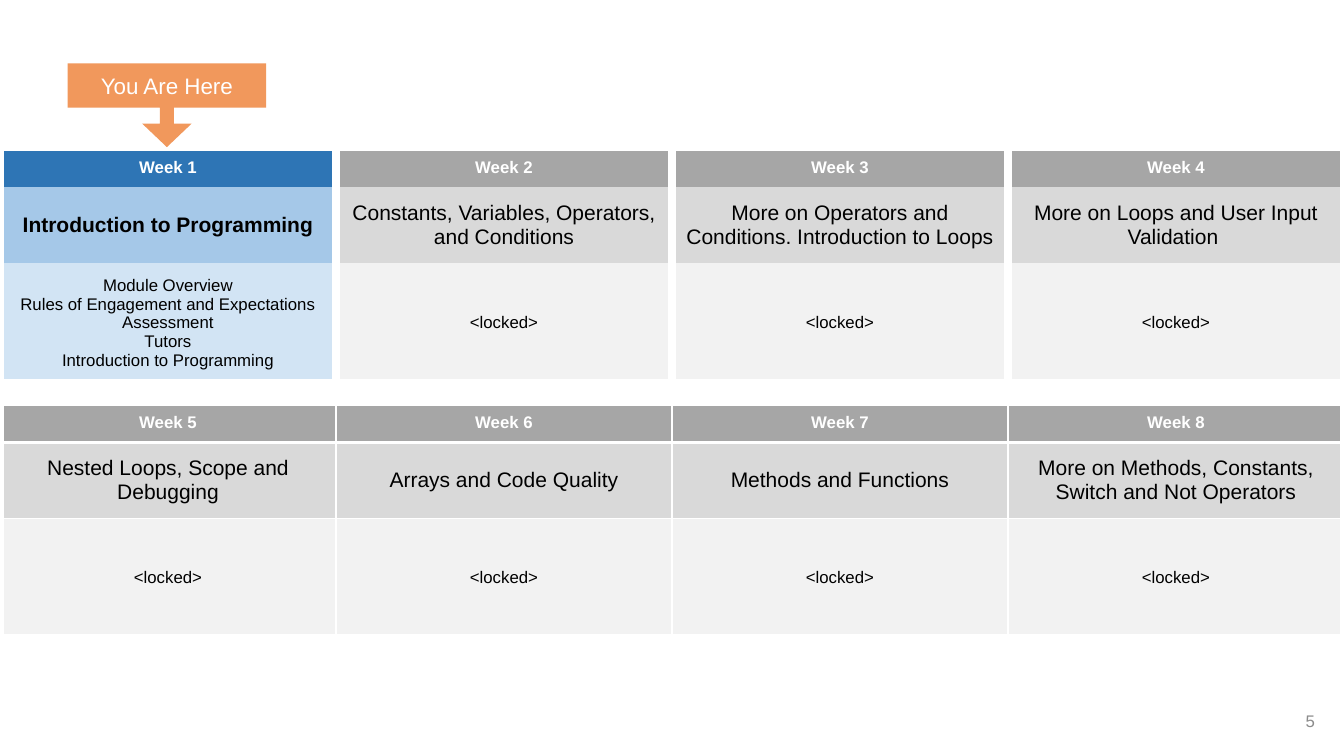
import lxml.etree
import pptx
import pptx.dml.color
import pptx.enum.shapes
import pptx.enum.text
import pptx.oxml.ns
import pptx.util

Inches = pptx.util.Inches
WHITE, BLACK = "FFFFFF", "000000"
LOCKED = ["<locked>"]
ACTIVE_FILLS = ["2E75B5", "A5C8E8", "D2E4F4"]
LOCKED_FILLS = ["A6A6A6", "D9D9D9", "F2F2F2"]
ROW_HEIGHTS = [0.4, 0.75, 1.19]
ROW_SIZES = [12, 15, 12]
ROW_COLORS = [WHITE, BLACK, BLACK]
FIRST_WEEKS = [
    ("Introduction to Programming", [
        "Module Overview",
        "Rules of Engagement and Expectations",
        "Assessment",
        "Tutors",
        "Introduction to Programming",
    ]),
    ("Constants, Variables, Operators, and Conditions", LOCKED),
    ("More on Operators and Conditions. Introduction to Loops", LOCKED),
    ("More on Loops and User Input Validation ", LOCKED),
]
LAST_WEEKS = [
    ("Nested Loops, Scope and Debugging", LOCKED),
    ("Arrays and Code Quality", LOCKED),
    ("Methods and Functions", LOCKED),
    ("More on Methods, Constants, Switch and Not Operators", LOCKED),
]


def rgb(color):
    """Turn a hex string into a colour."""
    return pptx.dml.color.RGBColor.from_string(color)


def write_lines(text_frame, lines, size, color, bold=False, alignment="CENTER"):
    """Write each line as a paragraph with one run."""
    for index, line in enumerate(lines):
        paragraph = text_frame.add_paragraph() if index else text_frame.paragraphs[0]
        paragraph.alignment = getattr(pptx.enum.text.PP_ALIGN, alignment)
        run = paragraph.add_run()
        run.text = line
        run.font.name = "Arial"
        run.font.size = pptx.util.Pt(size)
        run.font.bold = bold
        run.font.color.rgb = rgb(color)


def set_borders(cell, widths):
    """Draw white left, right, top and bottom borders; zero means none."""
    properties = cell._tc.get_or_add_tcPr()
    qn = pptx.oxml.ns.qn
    for side, width in zip("LRTB", widths):
        line = lxml.etree.SubElement(properties, qn(f"a:ln{side}"), w=str(pptx.util.Pt(width)))
        if width:
            fill = lxml.etree.SubElement(line, qn("a:solidFill"))
            lxml.etree.SubElement(fill, qn("a:srgbClr"), val=WHITE)
        else:
            lxml.etree.SubElement(line, qn("a:noFill"))


def add_weeks(slide, left, top, width, weeks, first_week, column_lines, row_lines, active=None):
    """Add a table with one column per week: number, topic and contents."""
    frame = slide.shapes.add_table(
        len(ROW_HEIGHTS), len(weeks), Inches(left), Inches(top),
        Inches(width), Inches(sum(ROW_HEIGHTS)))
    table = frame.table
    table.horz_banding = False
    for row, height in zip(table.rows, ROW_HEIGHTS):
        row.height = Inches(height)
    for column, (topic, contents) in enumerate(weeks):
        table.columns[column].width = Inches(width / len(weeks))
        current = first_week + column == active
        fills = ACTIVE_FILLS if current else LOCKED_FILLS
        for row, lines in enumerate([[f"Week {first_week + column}"], [topic], contents]):
            cell = table.cell(row, column)
            set_borders(cell, column_lines[column:column + 2] + row_lines[row:row + 2])
            cell.fill.solid()
            cell.fill.fore_color.rgb = rgb(fills[row])
            cell.vertical_anchor = pptx.enum.text.MSO_ANCHOR.MIDDLE
            bold = row == 0 or (row == 1 and current)
            write_lines(cell.text_frame, lines, ROW_SIZES[row], ROW_COLORS[row], bold)


def add_marker(slide, left, top, width, height):
    """Add the callout that points down at the current week."""
    shape = slide.shapes.add_shape(
        pptx.enum.shapes.MSO_SHAPE.RIGHT_ARROW_CALLOUT,
        Inches(left + (width - height) / 2), Inches(top + (height - width) / 2),
        Inches(height), Inches(width))
    shape.rotation = 90
    for index, value in enumerate([0.166, 0.295, 0.28, 0.529]):
        shape.adjustments[index] = value
    shape.shadow.inherit = False
    shape.fill.solid()
    shape.fill.fore_color.rgb = rgb("F1985C")
    shape.line.fill.background()
    text_frame = shape.text_frame
    text_frame.vertical_anchor = pptx.enum.text.MSO_ANCHOR.MIDDLE
    text_frame._txBody.bodyPr.set("vert", "vert270")
    write_lines(text_frame, ["You Are Here"], 16, WHITE)


def add_slide_number(slide, left, top, width, height):
    """Add the page number at the right of its box."""
    box = slide.shapes.add_textbox(Inches(left), Inches(top), Inches(width), Inches(height))
    box.text_frame.word_wrap = True
    box.text_frame.vertical_anchor = pptx.enum.text.MSO_ANCHOR.MIDDLE
    write_lines(box.text_frame, ["5"], 12, "8C8C8C", alignment="RIGHT")


def main():
    """Build the course plan slide."""
    presentation = pptx.Presentation()
    presentation.slide_width = Inches(13.33)
    presentation.slide_height = Inches(7.5)
    slide = presentation.slides.add_slide(presentation.slide_layouts[6])
    add_weeks(slide, 0, 1.46, 13.33, FIRST_WEEKS, 1, [6] * 5, [6, 0, 0, 6], active=1)
    add_weeks(slide, 0, 3.99, 13.33, LAST_WEEKS, 5, [6, 1, 1, 1, 6], [6, 3, 1, 6])
    add_slide_number(slide, 10.14, 6.95, 3, 0.4)
    add_marker(slide, 0.67, 0.63, 1.97, 0.83)
    presentation.save("out.pptx")


if __name__ == "__main__":
    main()
